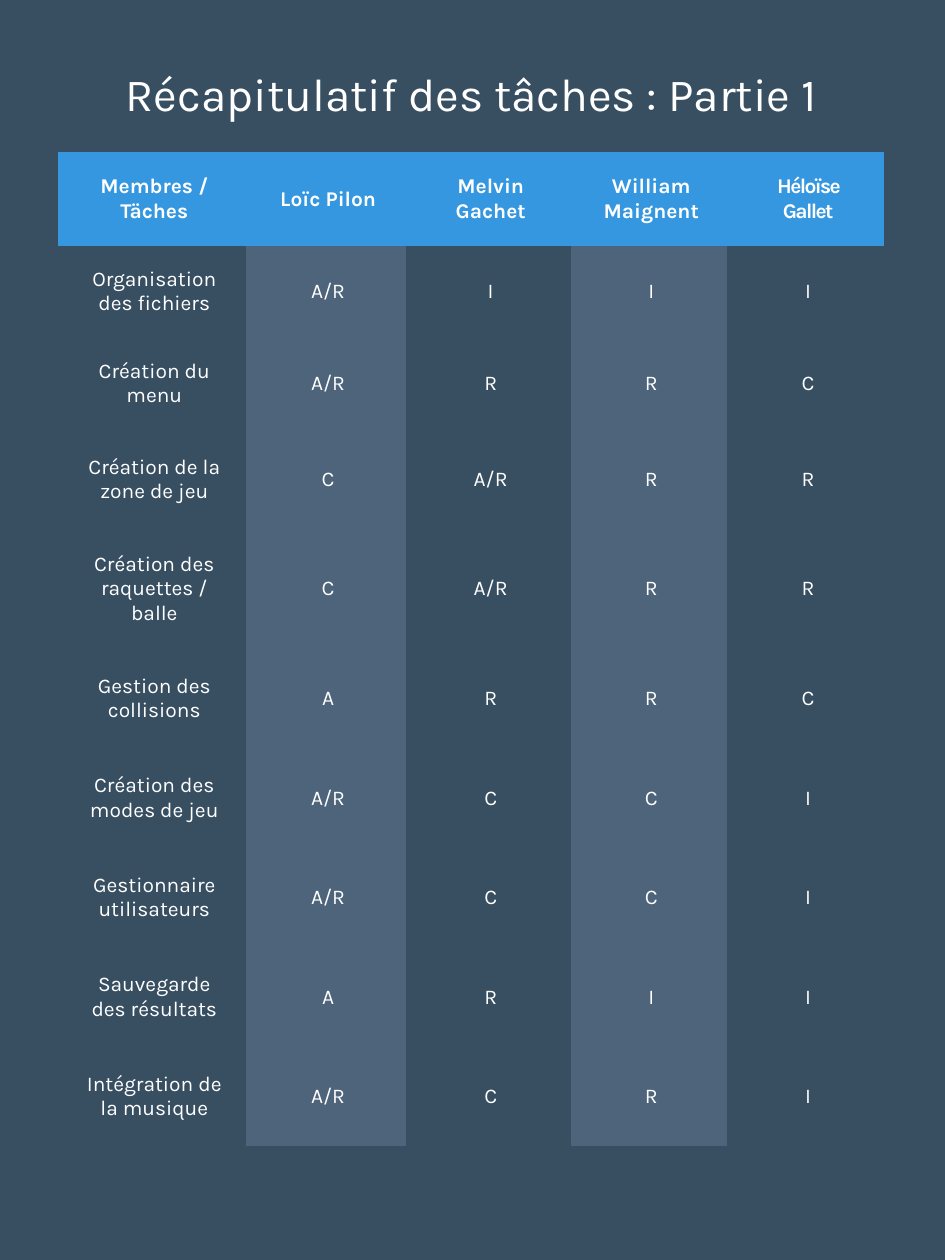
from dataclasses import dataclass

from pptx import Presentation
from pptx import util as u
from pptx.dml.color import RGBColor
from pptx.enum import text
from pptx.oxml import ns

FONT = "Karla"
WHITE, NAVY, SLATE, BLUE = "FFFFFF", "384F62", "4D647A", "3497DF"
NO_GRID_STYLE = "{2D5ABB26-0587-4C30-8999-92F81FD0307C}"
COL_WIDTHS = [1.49, 1.27, 1.31, 1.24, 1.25]
ROW_HEIGHTS = [0.74, 0.73, 0.73, 0.79, 0.95] + [0.79] * 5
HEADERS = ["Membres / Täches", "Loïc Pilon", "Melvin Gachet", "William Maignent", "Héloïse Gallet"]


@dataclass
class Task:
    name: str
    roles: str


TASKS = [
    Task("Organisation des fichiers", "A/R I I I"),
    Task("Création du menu", "A/R R R C"),
    Task("Création de la zone de jeu", "C A/R R R"),
    Task("Création des raquettes / balle", "C A/R R R"),
    Task("Gestion des collisions", "A R R C"),
    Task("Création des modes de jeu", "A/R C C I"),
    Task("Gestionnaire utilisateurs", "A/R C C I"),
    Task("Sauvegarde des résultats", "A R I I"),
    Task("Intégration de la musique", "A/R C R I"),
]


def rgb(value: str) -> RGBColor:
    return RGBColor.from_string(value)


def format_paragraph(p, size: float, bold: bool = False) -> None:
    p.alignment = text.PP_ALIGN.CENTER
    p.font.name = FONT
    p.font.size = u.Pt(size)
    p.font.bold = bold
    p.font.color.rgb = rgb(WHITE)


def add_title(s, title: str) -> None:
    sp = s.shapes.title
    sp.left, sp.top, sp.width, sp.height = map(u.Inches, (0.64, 0.6, 6.2, 0.36))
    tf = sp.text_frame
    tf.text = title
    tf.word_wrap = True
    tf.auto_size = text.MSO_AUTO_SIZE.NONE
    tf.vertical_anchor = text.MSO_ANCHOR.MIDDLE
    tf.margin_left = tf.margin_right = tf.margin_top = tf.margin_bottom = 0
    p = tf.paragraphs[0]
    p.line_spacing = 0.8
    format_paragraph(p, 26.3)


def fill_cell(cell, label: str, color: str, bold: bool) -> None:
    cell.fill.solid()
    cell.fill.fore_color.rgb = rgb(color)
    cell.vertical_anchor = text.MSO_ANCHOR.MIDDLE
    cell.margin_left = cell.margin_right = u.Inches(0.17)
    cell.margin_top = cell.margin_bottom = u.Inches(0.17)
    cell.text = label
    p = cell.text_frame.paragraphs[0]
    format_paragraph(p, 12, bold)
    p_pr = p._p.get_or_add_pPr()
    p_pr.set("marL", str(u.Inches(0.04)))
    p_pr.set("indent", "0")


def add_task_table(s) -> None:
    rows = [HEADERS] + [[task.name, *task.roles.split()] for task in TASKS]
    frame = s.shapes.add_table(
        len(rows), len(HEADERS), u.Inches(0.46), u.Inches(1.21),
        u.Inches(sum(COL_WIDTHS)), u.Inches(sum(ROW_HEIGHTS)))
    table = frame.table
    table._tbl.tblPr.find(ns.qn("a:tableStyleId")).text = NO_GRID_STYLE
    table.horz_banding = False
    for column, width in zip(table.columns, COL_WIDTHS):
        column.width = u.Inches(width)
    for row, height in zip(table.rows, ROW_HEIGHTS):
        row.height = u.Inches(height)
    for i, labels in enumerate(rows):
        for j, label in enumerate(labels):
            color = BLUE if i == 0 else SLATE if j % 2 else NAVY
            fill_cell(table.cell(i, j), label, color, i == 0)
    r = table.cell(0, len(HEADERS) - 1).text_frame.paragraphs[0].runs[0]
    r._r.get_or_add_rPr().set("spc", "-90")


def main() -> None:
    prs = Presentation()
    prs.slide_width, prs.slide_height = u.Inches(7.5), u.Inches(10)
    s = prs.slides.add_slide(prs.slide_layouts[5])
    s.background.fill.solid()
    s.background.fill.fore_color.rgb = rgb(NAVY)
    add_title(s, "Récapitulatif des tâches : Partie 1")
    add_task_table(s)
    prs.save("out.pptx")


if __name__ == "__main__":
    main()
